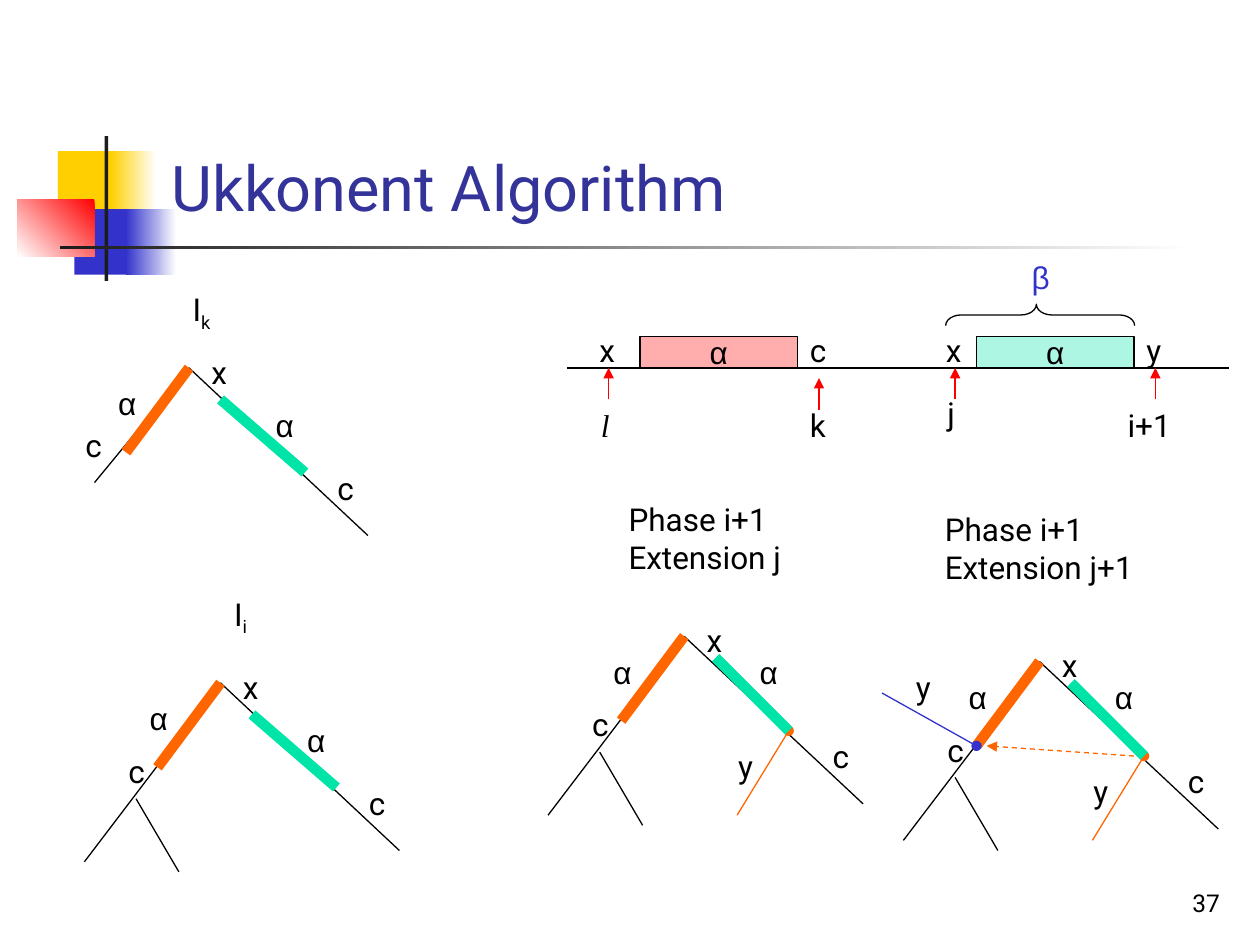
from lxml.etree import SubElement
from pptx import Presentation
from pptx.dml.color import RGBColor
from pptx.enum.dml import MSO_LINE
from pptx.enum.shapes import MSO_CONNECTOR, MSO_SHAPE
from pptx.enum.text import MSO_ANCHOR, MSO_AUTO_SIZE, PP_ALIGN
from pptx.oxml.ns import qn
from pptx.util import Inches, Pt

BLACK = RGBColor(0x00, 0x00, 0x00)
WHITE = RGBColor(0xFF, 0xFF, 0xFF)
CHARCOAL = RGBColor(0x1C, 0x1C, 0x1C)
YELLOW = RGBColor(0xFF, 0xCF, 0x01)
BLUE = RGBColor(0x33, 0x33, 0xCC)
TITLE_BLUE = RGBColor(0x33, 0x33, 0x99)
RED = RGBColor(0xFF, 0x00, 0x00)
ORANGE = RGBColor(0xFF, 0x66, 0x00)
GREEN = RGBColor(0x00, 0xE4, 0xA8)

LABEL_WIDTHS = {"x": 0.33, "c": 0.32, "y": 0.33, "k": 0.33, "j": 0.26,
                "l": 0.27, "i+1": 0.55, "α": 0.36, "β": 0.34}


def style_font(paragraph, name="Roboto", size=18, color=BLACK):
    paragraph.font.name = name
    paragraph.font.size = Pt(size)
    paragraph.font.color.rgb = color


def add_block(slide, left, top, width, height, kind=MSO_SHAPE.RECTANGLE):
    shape = slide.shapes.add_shape(kind, Inches(left), Inches(top), Inches(width), Inches(height))
    shape.shadow.inherit = False
    shape.line.fill.background()
    return shape


def add_solid(slide, color, *box):
    shape = add_block(slide, *box)
    shape.fill.solid()
    shape.fill.fore_color.rgb = color
    return shape


def add_gradient(slide, start, end, angle, *box):
    fill = add_block(slide, *box).fill
    fill.gradient()
    fill.gradient_angle = angle
    for stop, color in zip(fill.gradient_stops, (start, end)):
        stop.color.rgb = color


def outline(shape):
    shape.line.color.rgb = BLACK
    shape.line.width = Pt(0.75)


def add_line(slide, start, end, color=BLACK, width=0.75, head=None, tail=None, dashed=False):
    line = slide.shapes.add_connector(MSO_CONNECTOR.STRAIGHT, *map(Inches, (*start, *end)))
    line.line.color.rgb = color
    line.line.width = Pt(width)
    if dashed:
        line.line.dash_style = MSO_LINE.DASH
    properties = line.element.spPr
    for tag, kind in (("a:headEnd", head), ("a:tailEnd", tail)):
        if kind:
            SubElement(properties.find(qn("a:ln")), qn(tag), type=kind)
    SubElement(properties, qn("a:effectLst"))


def add_text(slide, text, left, top, width, height=0.4, color=BLACK, name="Roboto"):
    box = slide.shapes.add_textbox(Inches(left), Inches(top), Inches(width), Inches(height))
    frame = box.text_frame
    frame.word_wrap = False
    frame.auto_size = MSO_AUTO_SIZE.SHAPE_TO_FIT_TEXT
    frame.text = text
    for paragraph in frame.paragraphs:
        style_font(paragraph, name, color=color)
    return frame.paragraphs[0]


def add_label(slide, text, left, top, color=BLACK):
    name = "Arial" if text in "αβ" else "Roboto"
    return add_text(slide, text, left, top, LABEL_WIDTHS[text], color=color, name=name)


def add_tree_name(slide, index, left, top, width):
    paragraph = add_text(slide, "I", left, top, width, 0.44)
    run = paragraph.add_run()
    run.text = index
    run._r.get_or_add_rPr().set("baseline", "-25000")


def add_segment(slide, color, left):
    shape = add_solid(slide, color, left, 2.67, 1.25, 0.25)
    SubElement(shape.fill._xPr.find(".//" + qn("a:srgbClr")), qn("a:alpha"), val="32000")
    outline(shape)
    frame = shape.text_frame
    frame.word_wrap = False
    frame.vertical_anchor = MSO_ANCHOR.MIDDLE
    frame.text = "α"
    frame.paragraphs[0].alignment = PP_ALIGN.CENTER
    style_font(frame.paragraphs[0], "Arial")


def add_tree(slide, x, y, branched=True, extended=False):
    def at(point):
        return x + point[0], y + point[1]

    def edge(start, end, *style, **ends):
        add_line(slide, at(start), at(end), *style, **ends)

    root = (0, 0)
    edge(root, (1.42, 1.33))
    if branched:
        edge(root, (-1.08, 1.42))
        edge((-0.67, 0.92), (-0.33, 1.5))
    else:
        edge(root, (-0.75, 0.91))
    labels = [("x", (0.08, -0.17)), ("c", (1.08, 0.75)), ("α", (-0.66, 0.08)),
              ("c", (-0.83, 0.5) if branched else (-0.92, 0.41)),
              ("α", (0.5, 0.08) if extended else (0.59, 0.25))]
    if extended:
        edge((0.83, 0.75), (0.42, 1.42), ORANGE, head="oval")
        labels.append(("y", (0.33, 0.83)))
    for text, point in labels:
        add_label(slide, text, *at(point))
    edge(root, (-0.5, 0.67), ORANGE, 6)
    if extended:
        edge((0.25, 0.17), (0.83, 0.75), GREEN, 6)
    else:
        edge((0.25, 0.25), (0.92, 0.83), GREEN, 6)


def add_decoration(slide):
    add_solid(slide, YELLOW, 0.46, 1.2, 0.48, 0.52)
    add_gradient(slide, WHITE, YELLOW, 180, 0.88, 1.2, 0.36, 0.52)
    add_solid(slide, BLUE, 0.59, 1.66, 0.46, 0.52)
    add_gradient(slide, WHITE, BLUE, 180, 1, 1.66, 0.4, 0.52)
    add_gradient(slide, RED, WHITE, 225, 0.14, 1.58, 0.61, 0.46)
    add_solid(slide, CHARCOAL, 0.83, 1.08, 0.03, 1.15)
    add_gradient(slide, WHITE, CHARCOAL, 180, 0.48, 1.95, 9, 0.03)


def add_title(slide):
    title = slide.shapes.title
    title.left, title.top, title.width, title.height = map(Inches, (1.26, 0.23, 8.52, 1.6))
    title.element.getparent().append(title.element)
    frame = title.text_frame
    frame.text = "Ukkonent Algorithm"
    frame.vertical_anchor = MSO_ANCHOR.BOTTOM
    frame.paragraphs[0].alignment = PP_ALIGN.LEFT
    style_font(frame.paragraphs[0], size=36, color=TITLE_BLUE)


def add_sequence(slide):
    add_line(slide, (4.5, 2.92), (9.75, 2.92))
    add_segment(slide, RED, 5.08)
    add_segment(slide, GREEN, 7.75)
    for text, left in (("x", 4.66), ("c", 6.33), ("x", 7.41), ("y", 9)):
        add_label(slide, text, left, 2.58)
    for text, left, top in (("k", 6.33, 3.17), ("j", 7.42, 3.08), ("i+1", 8.85, 3.17)):
        add_label(slide, text, left, top)
    add_text(slide, "l", 4.67, 3.17, LABEL_WIDTHS["l"], name="Times New Roman").font.italic = True
    for x, tip in ((4.83, 2.92), (6.5, 3), (7.58, 2.92), (9.17, 2.92)):
        add_line(slide, (x, tip + 0.25), (x, tip), RED, tail="triangle")
    brace = add_block(slide, 8.17, 1.75, 0.17, 1.5, MSO_SHAPE.LEFT_BRACE)
    brace.rotation = 90
    brace.adjustments[0] = 0.72
    brace.adjustments[1] = 0.52
    brace.fill.background()
    outline(brace)
    add_label(slide, "β", 8.09, 2, BLUE)


def add_page_number(slide):
    box = slide.shapes.add_textbox(Inches(7.7), Inches(6.83), Inches(2.08), Inches(0.5))
    frame = box.text_frame
    frame.word_wrap = True
    frame.vertical_anchor = MSO_ANCHOR.BOTTOM
    frame.text = "37"
    frame.paragraphs[0].alignment = PP_ALIGN.RIGHT
    style_font(frame.paragraphs[0], size=14)


def main():
    presentation = Presentation()
    presentation.slide_width, presentation.slide_height = Inches(10), Inches(7.5)
    slide = presentation.slides.add_slide(presentation.slide_layouts[5])
    add_decoration(slide)
    add_title(slide)
    add_sequence(slide)
    add_tree_name(slide, "k", 1.43, 2.25, 0.36)
    add_tree(slide, 1.5, 2.92, branched=False)
    add_tree_name(slide, "i", 1.76, 4.67, 0.32)
    add_tree(slide, 1.75, 5.42)
    add_text(slide, "Phase i+1\nExtension j", 4.89, 3.92, 1.47, 0.7)
    add_tree(slide, 5.43, 5.05, extended=True)
    add_text(slide, "Phase i+1\nExtension j+1", 7.4, 4, 1.76, 0.7)
    add_tree(slide, 8.25, 5.25, extended=True)
    add_line(slide, (7.75, 5.92), (7, 5.5), BLUE, head="oval")
    add_label(slide, "y", 7.17, 5.25)
    add_line(slide, (9, 6), (7.83, 5.92), ORANGE, tail="triangle", dashed=True)
    add_page_number(slide)
    presentation.save("out.pptx")


if __name__ == "__main__":
    main()
